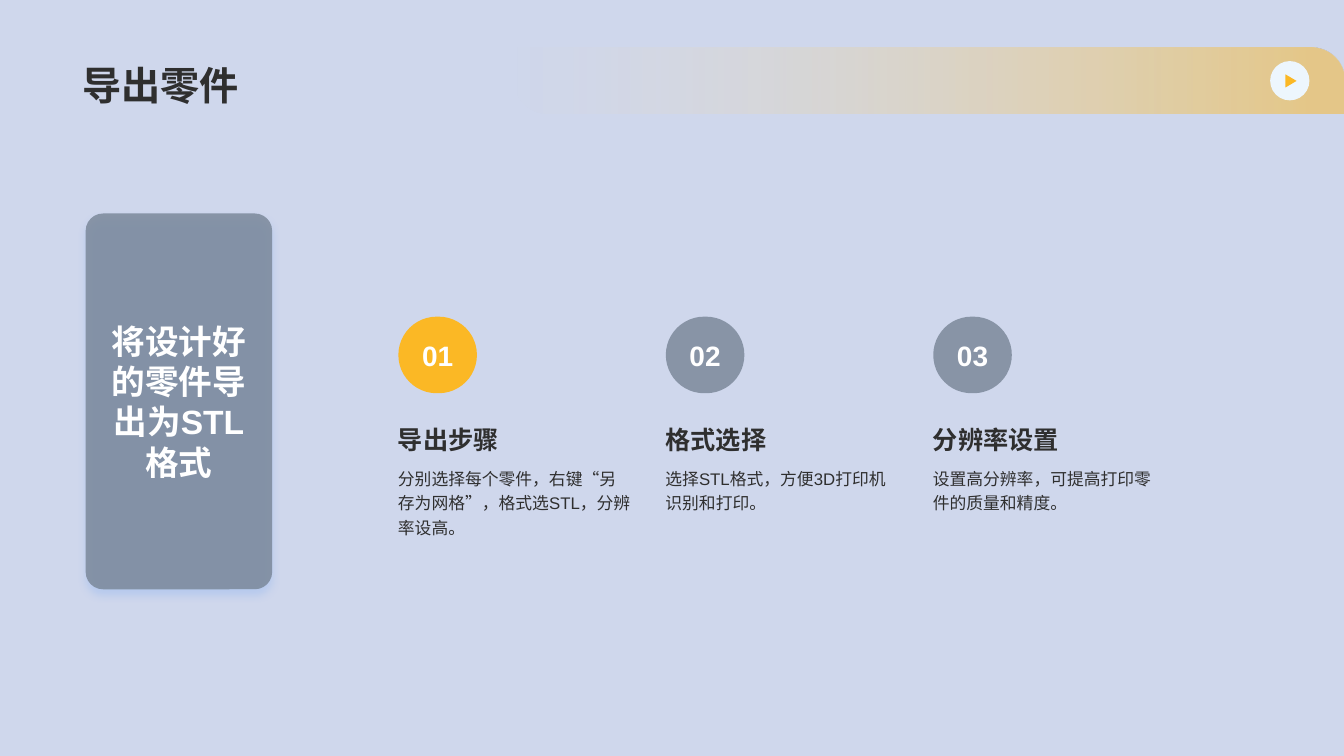
from dataclasses import dataclass

from lxml import etree
from pptx import Presentation
from pptx.dml.color import RGBColor
from pptx.enum.shapes import MSO_SHAPE
from pptx.enum.text import MSO_ANCHOR, PP_ALIGN
from pptx.oxml.ns import qn
from pptx.util import Cm, Pt

PILL = MSO_SHAPE.ROUNDED_RECTANGLE
RIBBON = MSO_SHAPE.ROUND_2_DIAG_RECTANGLE
DISC = MSO_SHAPE.OVAL
TRIANGLE = MSO_SHAPE.ISOSCELES_TRIANGLE
TOP, MIDDLE, BOTTOM = MSO_ANCHOR.TOP, MSO_ANCHOR.MIDDLE, MSO_ANCHOR.BOTTOM
LEFT, CENTER = PP_ALIGN.LEFT, PP_ALIGN.CENTER


@dataclass(frozen=True)
class Theme:
    """Colours, type sizes and font of the slide."""
    font: str = "Arial"
    background: str = "CFD7EC"
    ink: str = "2F2F2F"
    white: str = "FFFFFF"
    accent: str = "FBB825"
    pale_accent: str = "FDE3A8"
    slate: str = "778495"
    disc: str = "EDF6FD"
    glow: str = "3685F9"
    title_size: int = 28
    panel_size: int = 24
    number_size: int = 20
    heading_size: int = 18
    body_size: int = 12


THEME = Theme()
STEPS = [
    ("导出步骤", "分别选择每个零件，右键“另存为网格”，格式选STL，分辨率设高。"),
    ("格式选择", "选择STL格式，方便3D打印机识别和打印。"),
    ("分辨率设置", "设置高分辨率，可提高打印零件的质量和精度。"),
]


def set_alpha(color, percent):
    """Give a colour element the stated opacity."""
    etree.SubElement(color, qn("a:alpha"), val=str(percent * 1000))


def add_filled(slide, kind, left, top, width, height, color, opacity=100):
    """Add a borderless preset shape, measured in centimetres."""
    shape = slide.shapes.add_shape(kind, Cm(left), Cm(top), Cm(width), Cm(height))
    shape.shadow.inherit = False
    shape.line.fill.background()
    shape.fill.solid()
    shape.fill.fore_color.rgb = RGBColor.from_string(color)
    if opacity < 100:
        set_alpha(shape._element.spPr.find(".//" + qn("a:srgbClr")), opacity)
    return shape


def write(shape, text, size, color, bold=True, anchor=MIDDLE, align=CENTER, spacing=1.0):
    """Put one styled paragraph into a shape."""
    frame = shape.text_frame
    frame.word_wrap = True
    frame.vertical_anchor = anchor
    paragraph = frame.paragraphs[0]
    paragraph.text = text
    paragraph.alignment = align
    paragraph.line_spacing = spacing
    paragraph.font.name = THEME.font
    paragraph.font.size = Pt(size)
    paragraph.font.bold = bold
    paragraph.font.color.rgb = RGBColor.from_string(color)


def add_label(slide, left, top, width, height, text, size, **style):
    """Add a left-aligned dark text box, measured in centimetres."""
    label = slide.shapes.add_textbox(Cm(left), Cm(top), Cm(width), Cm(height))
    write(label, text, size, THEME.ink, align=LEFT, **style)


def add_ribbon(slide, left, top, width, height):
    """Draw the fading ribbon with its play button at the right end."""
    ribbon = add_filled(slide, RIBBON, left, top, width, height, THEME.accent)
    ribbon.adjustments[0] = 0
    ribbon.adjustments[1] = 0.5
    ribbon.fill.gradient()
    ribbon.fill.gradient_angle = 0
    fade = [(0, THEME.pale_accent, 0), (0.96, THEME.accent, 50)]
    for stop, (position, color, opacity) in zip(ribbon.fill.gradient_stops, fade):
        stop.position = position
        stop.color.rgb = RGBColor.from_string(color)
    for color, (_, _, opacity) in zip(ribbon._element.spPr.iter(qn("a:srgbClr")), fade):
        set_alpha(color, opacity)
    add_filled(slide, DISC, left + width - 1.86, top + 0.35, 0.99, 0.99, THEME.disc)
    play = add_filled(slide, TRIANGLE, left + width - 1.5, top + 0.71, 0.33, 0.28, THEME.accent)
    play.rotation = 90


def add_panel(slide, left, top, width, height, text):
    """Draw the translucent summary panel with its soft shadow."""
    panel = add_filled(slide, PILL, left, top, width, height, THEME.slate, 80)
    panel.adjustments[0] = 0.093
    effects = panel._element.spPr.find(qn("a:effectLst"))
    shadow = etree.SubElement(
        effects, qn("a:outerShdw"), blurRad=str(Pt(6)), dist=str(Pt(4)),
        dir="5400000", algn="t", rotWithShape="0")
    set_alpha(etree.SubElement(shadow, qn("a:srgbClr"), val=THEME.glow), 20)
    write(panel, text, THEME.panel_size, THEME.white)


def add_step(slide, left, top, width, number, heading, body):
    """Draw one numbered step; the first one is highlighted."""
    color, opacity = (THEME.accent, 100) if number == 1 else (THEME.slate, 80)
    add_label(slide, left, top + 1.68, width, 1.93, heading, THEME.heading_size, anchor=BOTTOM)
    add_label(slide, left, top + 3.61, width, 2.79, body, THEME.body_size,
              bold=False, anchor=TOP, spacing=1.2)
    badge = add_filled(slide, PILL, left + 0.26, top, 1.98, 1.93, color, opacity)
    badge.adjustments[0] = 0.5
    write(badge, f"{number:02d}", THEME.number_size, THEME.white)


def add_steps(slide, left, top, width, pitch):
    """Lay the steps out in a row at an equal pitch."""
    for index, (heading, body) in enumerate(STEPS):
        add_step(slide, left + index * pitch, top, width, index + 1, heading, body)


def main():
    """Build and save the slide."""
    deck = Presentation()
    deck.slide_width, deck.slide_height = Cm(33.87), Cm(19.05)
    slide = deck.slides.add_slide(deck.slide_layouts[6])
    slide.background.fill.solid()
    slide.background.fill.fore_color.rgb = RGBColor.from_string(THEME.background)
    add_ribbon(slide, 12.96, 1.19, 20.91, 1.66)
    add_label(slide, 1.83, 0.36, 30.18, 2.49, "导出零件", THEME.title_size, anchor=BOTTOM)
    add_panel(slide, 2.16, 5.38, 4.7, 9.47, "将设计好的零件导出为STL格式")
    add_steps(slide, 9.78, 7.98, 6.4, 6.74)
    deck.save("out.pptx")


if __name__ == "__main__":
    main()
